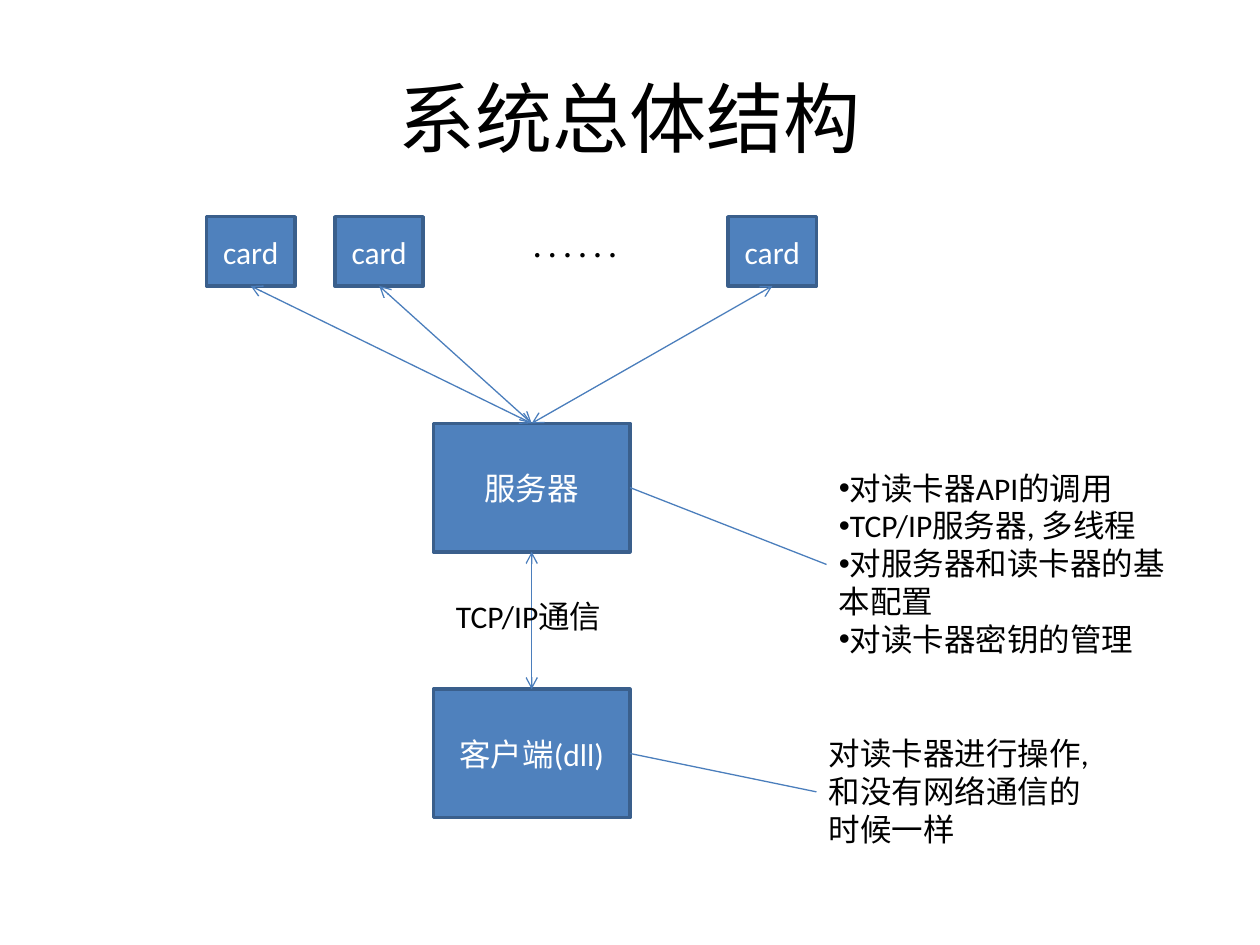
from lxml import etree
from pptx import Presentation
from pptx.dml.color import RGBColor
from pptx.enum.shapes import MSO_CONNECTOR, MSO_SHAPE
from pptx.enum.text import MSO_ANCHOR, MSO_AUTO_SIZE, PP_ALIGN
from pptx.oxml.ns import qn
from pptx.util import Inches, Pt

RECTANGLE = MSO_SHAPE.RECTANGLE
STRAIGHT = MSO_CONNECTOR.STRAIGHT
LEFT, CENTER = PP_ALIGN.LEFT, PP_ALIGN.CENTER
MIDDLE = MSO_ANCHOR.MIDDLE
GROW = MSO_AUTO_SIZE.SHAPE_TO_FIT_TEXT

# Connection sites of a rectangle
TOP_SITE, LEFT_SITE, BOTTOM_SITE, RIGHT_SITE = range(4)


def color(value):
    return RGBColor.from_string(value)


class Diagram:
    """Holds the style and the slide being drawn."""

    font = "Calibri"
    fill, border, link = "4F81BD", "3A5F8C", "4B7EBC"
    light, dark = "FFFFFF", "000000"

    def __init__(self, page):
        self.page = page

    def format_text(self, frame, size, ink, align):
        for para in frame.paragraphs:
            para.alignment = align
            for span in para.runs:
                span.font.name = self.font
                span.font.size = Pt(size)
                span.font.color.rgb = color(ink)

    def title(self, text, *area):
        box = self.page.shapes.title
        box.left, box.top, box.width, box.height = map(Inches, area)
        box.text_frame.text = text
        box.text_frame.vertical_anchor = MIDDLE
        self.format_text(box.text_frame, 44, self.dark, CENTER)

    def node(self, text, *area):
        box = self.page.shapes.add_shape(RECTANGLE, *map(Inches, area))
        box.shadow.inherit = False
        box.fill.solid()
        box.fill.fore_color.rgb = color(self.fill)
        box.line.color.rgb = color(self.border)
        box.line.width = Pt(2)
        box.text_frame.text = text
        box.text_frame.vertical_anchor = MIDDLE
        self.format_text(box.text_frame, 18, self.light, CENTER)
        return box

    def label(self, text, *area, align=LEFT, bullets=False):
        box = self.page.shapes.add_textbox(*map(Inches, area))
        frame = box.text_frame
        frame.word_wrap = True
        frame.auto_size = GROW
        frame.text = text
        if bullets:
            for para in frame.paragraphs:
                properties = para._p.get_or_add_pPr()
                etree.SubElement(properties, qn("a:buFont"), typeface="Arial")
                etree.SubElement(properties, qn("a:buChar"), char="•")
        self.format_text(frame, 18, self.dark, align)
        return box

    def connect(self, start, start_site, end, end_site, arrows=False):
        line = self.page.shapes.add_connector(STRAIGHT, 0, 0, 0, 0)
        line.begin_connect(start, start_site)
        line.end_connect(end, end_site)
        line.line.color.rgb = color(self.link)
        line.line.width = Pt(0.75)
        if arrows:
            outline = line.line._get_or_add_ln()
            for tag in ("a:headEnd", "a:tailEnd"):
                etree.SubElement(outline, qn(tag), type="arrow")
        etree.SubElement(line._element.spPr, qn("a:effectLst"))


def main():
    deck = Presentation()
    deck.slide_width, deck.slide_height = Inches(10), Inches(7.5)
    diagram = Diagram(deck.slides.add_slide(deck.slide_layouts[5]))
    diagram.title("系统总体结构", 0.5, 0.3, 9, 1.25)

    # Server and client, joined by a two-way link
    client = diagram.node("客户端(dll)", 3.44, 5.47, 1.56, 1.02)
    server = diagram.node("服务器", 3.44, 3.36, 1.56, 1.02)
    diagram.connect(server, BOTTOM_SITE, client, TOP_SITE, arrows=True)
    diagram.label("TCP/IP通信", 3.52, 4.69, 1.41, 0.4)

    # Row of cards linked to the server
    for left in (1.64, 2.66, 5.78):
        card = diagram.node("card", left, 1.72, 0.7, 0.55)
        diagram.connect(server, TOP_SITE, card, BOTTOM_SITE, arrows=True)
    diagram.label("· · · · · ·", 3.98, 1.8, 1.17, 0.4, align=CENTER)

    # Notes on the two sides
    duties = [
        "对读卡器API的调用",
        "TCP/IP服务器, 多线程",
        "对服务器和读卡器的基本配置",
        "对读卡器密钥的管理",
    ]
    server_note = diagram.label("\n".join(duties), 6.56, 3.67, 2.81, 1.62, bullets=True)
    client_note = diagram.label("对读卡器进行操作, 和没有网络通信的时候一样", 6.48, 5.78, 2.27, 1.01)
    for node, note in ((server, server_note), (client, client_note)):
        diagram.connect(node, RIGHT_SITE, note, LEFT_SITE)

    deck.save("out.pptx")


if __name__ == "__main__":
    main()
